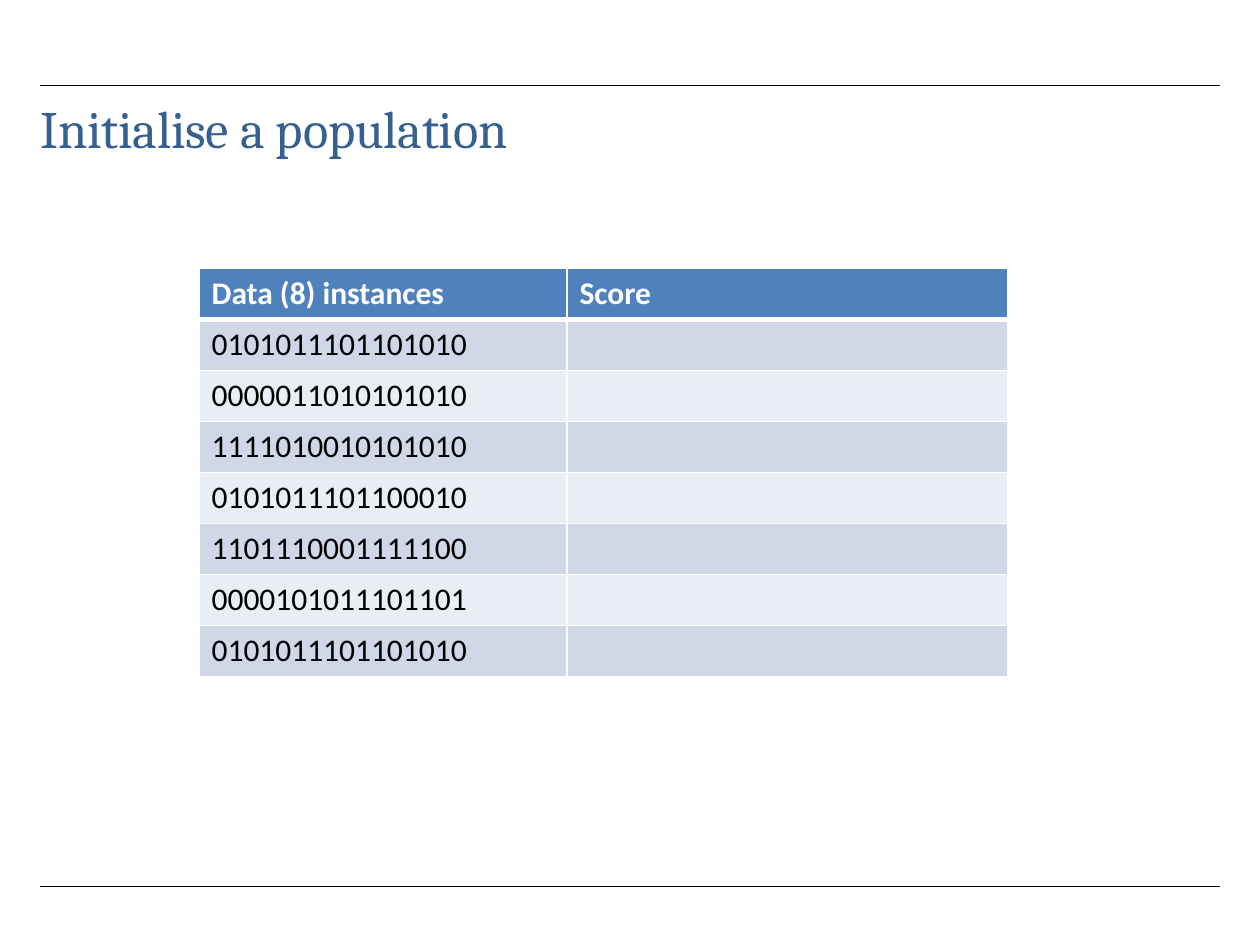
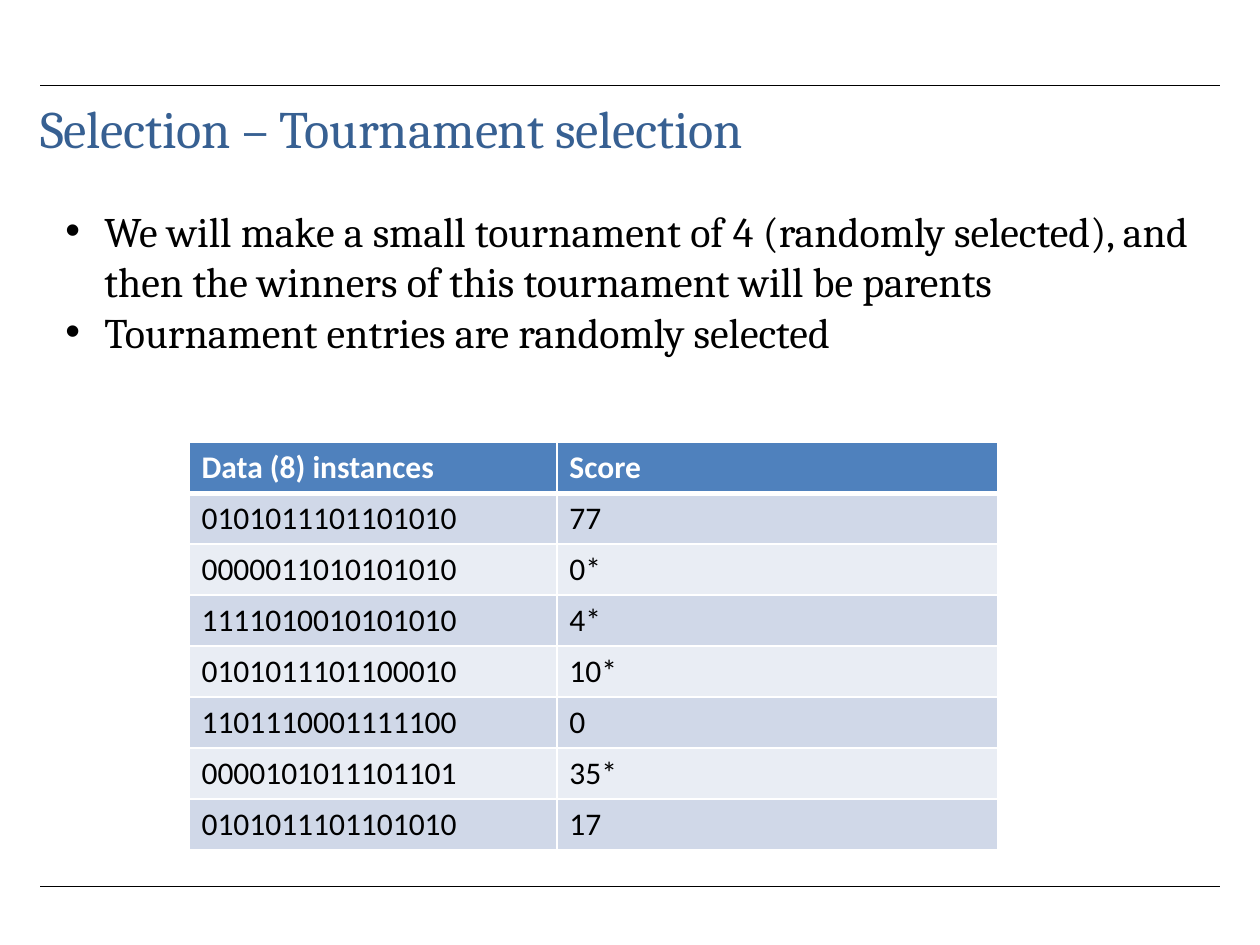
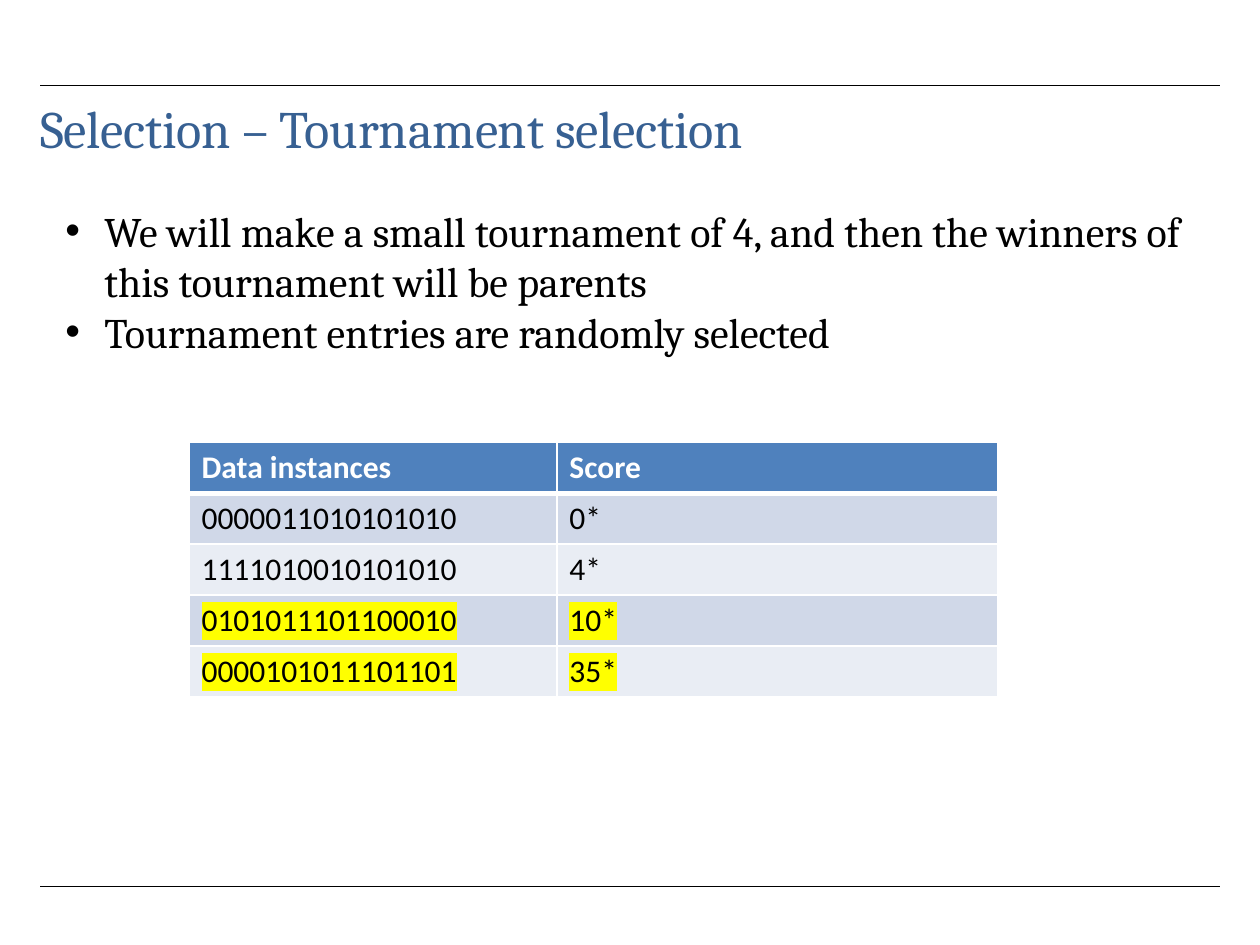
"""Builds three slides about tournament selection in a genetic algorithm."""
from lxml.etree import SubElement
from pptx import Presentation
from pptx.dml.color import RGBColor
from pptx.enum.shapes import MSO_CONNECTOR
from pptx.enum.text import MSO_ANCHOR
from pptx.oxml.ns import qn
from pptx.util import Inches, Pt

BLUE = RGBColor(0x37, 0x60, 0x92)
HEADER = RGBColor(0x4F, 0x81, 0xBD)
BANDS = RGBColor(0xD0, 0xD8, 0xE8), RGBColor(0xE9, 0xED, 0xF4)
BLACK = RGBColor(0, 0, 0)
WHITE = RGBColor(255, 255, 255)
YELLOW = RGBColor(255, 255, 0)
SERIF, SANS = "Cambria", "Calibri"
COLUMN_WIDTHS = Inches(2.92), Inches(3.5)
ROW_HEIGHT = Inches(3.24) // 8
HANGING = Inches(0.31)


class Deck:
    def __init__(self):
        self.presentation = Presentation()
        self.presentation.slide_width = Inches(10)
        self.presentation.slide_height = Inches(7.5)
        self.slide = None

    def start(self, title):
        self.slide = self.presentation.slides.add_slide(self.presentation.slide_layouts[6])
        for height in (7.03, 0.68):
            self.rule(Inches(height))
        self.title(title)

    def rule(self, top):
        rule = self.slide.shapes.add_connector(
            MSO_CONNECTOR.STRAIGHT, Inches(0.32), top, Inches(9.68), top)
        rule.line.color.rgb = BLACK
        rule.line.width = Pt(0.25)
        SubElement(rule._element.spPr, qn("a:effectLst"))

    def frame(self, left, top, width, height):
        frame = self.slide.shapes.add_textbox(left, top, width, height).text_frame
        frame.word_wrap = True
        frame.vertical_anchor = MSO_ANCHOR.TOP
        return frame

    def run(self, paragraph, text, font, size, color, bold=False):
        run = paragraph.add_run()
        run.text = text
        run.font.name = font
        run.font.size = Pt(size)
        run.font.color.rgb = color
        run.font.bold = bold
        return run

    def title(self, text):
        frame = self.frame(Inches(0.31), Inches(0.75), Inches(8.61), Inches(1.02))
        frame.margin_left = frame.margin_right = frame.margin_bottom = 0
        frame.margin_top = Inches(0.01)
        paragraph = frame.paragraphs[0]
        paragraph.space_before = Pt(1)
        paragraph._p.get_or_add_pPr().set("marL", str(Inches(0.01)))
        self.run(paragraph, text, SERIF, 30, BLUE).font._element.set("spc", "-10")

    def bullets(self, *points):
        frame = self.frame(Inches(0.42), Inches(1.58), Inches(9.28), Inches(1.31))
        for index, point in enumerate(points):
            paragraph = frame.add_paragraph() if index else frame.paragraphs[0]
            properties = paragraph._p.get_or_add_pPr()
            properties.set("marL", str(HANGING))
            properties.set("indent", str(-HANGING))
            SubElement(properties, qn("a:buFont"), typeface="Arial")
            SubElement(properties, qn("a:buChar"), char="•")
            self.run(paragraph, point, SERIF, 24, BLACK)

    def borders(self, cell, top, bottom):
        properties = cell._tc.get_or_add_tcPr()
        for side, width in (("L", 1), ("R", 1), ("T", top), ("B", bottom)):
            border = SubElement(properties, qn(f"a:ln{side}"), w=str(Pt(width)))
            fill = SubElement(border, qn("a:solidFill"))
            SubElement(fill, qn("a:srgbClr"), val=str(WHITE))

    def highlight(self, run):
        marker = SubElement(run.font._element, qn("a:highlight"))
        SubElement(marker, qn("a:srgbClr"), val=str(YELLOW))
        run.font._element.find(qn("a:latin")).addprevious(marker)

    def scores(self, left, top, heading, instances, winners=()):
        rows = [(heading, "Score"), *instances]
        table = self.slide.shapes.add_table(
            len(rows), 2, left, top, sum(COLUMN_WIDTHS), ROW_HEIGHT * len(rows)).table
        table.first_row = table.horz_banding = False
        for column, width in zip(table.columns, COLUMN_WIDTHS):
            column.width = width
        for number, values in enumerate(rows):
            table.rows[number].height = ROW_HEIGHT
            is_header = number == 0
            for column, value in enumerate(values):
                cell = table.cell(number, column)
                self.borders(cell, 3 if number == 1 else 1, 3 if is_header else 1)
                cell.fill.solid()
                cell.fill.fore_color.rgb = HEADER if is_header else BANDS[(number - 1) % 2]
                if value:
                    run = self.run(cell.text_frame.paragraphs[0], value, SANS, 18,
                                   WHITE if is_header else BLACK, is_header)
                    if values in winners:
                        self.highlight(run)


POPULATION = [
    ("0101011101101010", "77"),
    ("0000011010101010", "0*"),
    ("1111010010101010", "4*"),
    ("0101011101100010", "10*"),
    ("1101110001111100", "0"),
    ("0000101011101101", "35*"),
    ("0101011101101010", "17"),
]
ENTRIES = [instance for instance in POPULATION if instance[1].endswith("*")]
SELECTION = "Selection – Tournament selection"
RANDOM_ENTRIES = "Tournament entries are randomly selected"

deck = Deck()

deck.start("Initialise a population")
deck.scores(Inches(1.58), Inches(2.13), "Data (8) instances",
            [(genome, "") for genome, score in POPULATION])

deck.start(SELECTION)
deck.scores(Inches(1.5), Inches(3.51), "Data (8) instances", POPULATION)
deck.bullets("We will make a small tournament of 4 (randomly selected), and then "
             "the winners of this tournament will be parents", RANDOM_ENTRIES)

deck.start(SELECTION)
deck.scores(Inches(1.5), Inches(3.51), "Data instances", ENTRIES, winners=ENTRIES[-2:])
deck.bullets("We will make a small tournament of 4, and then the winners of this "
             "tournament will be parents", RANDOM_ENTRIES)

deck.presentation.save("out.pptx")
